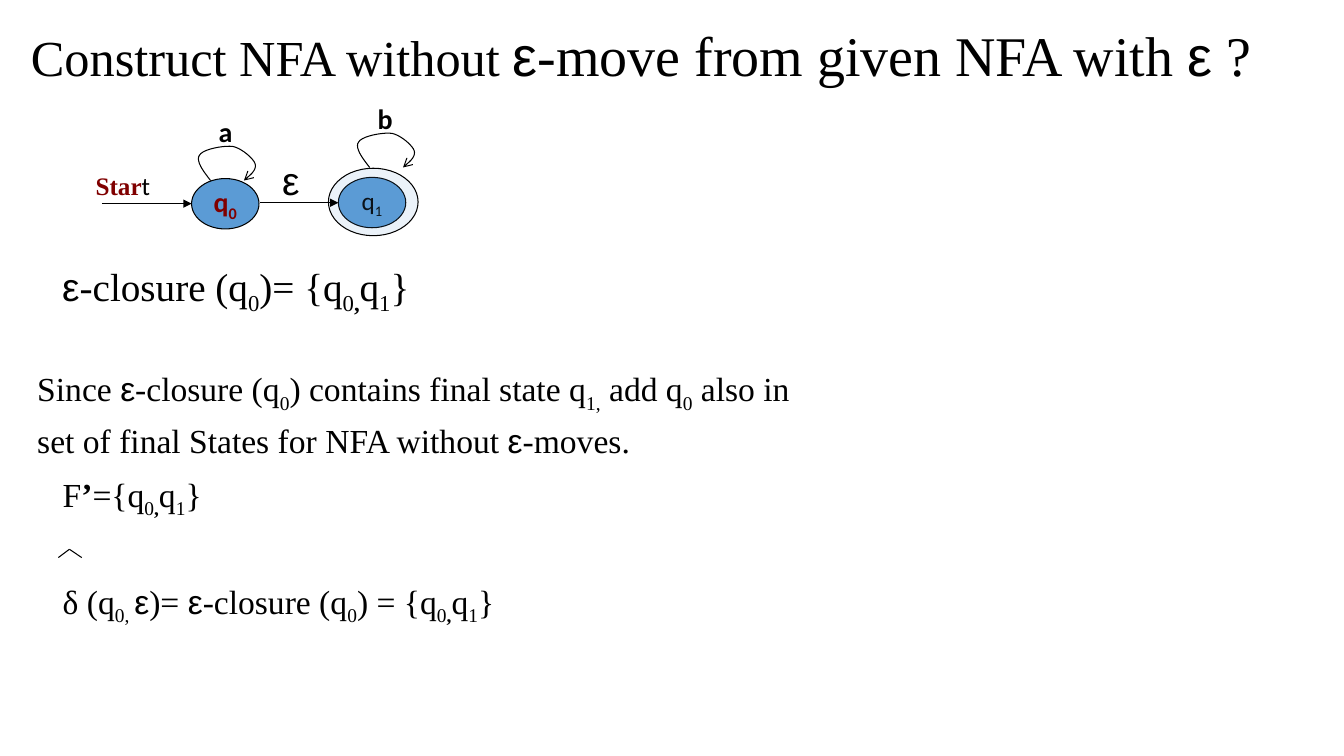
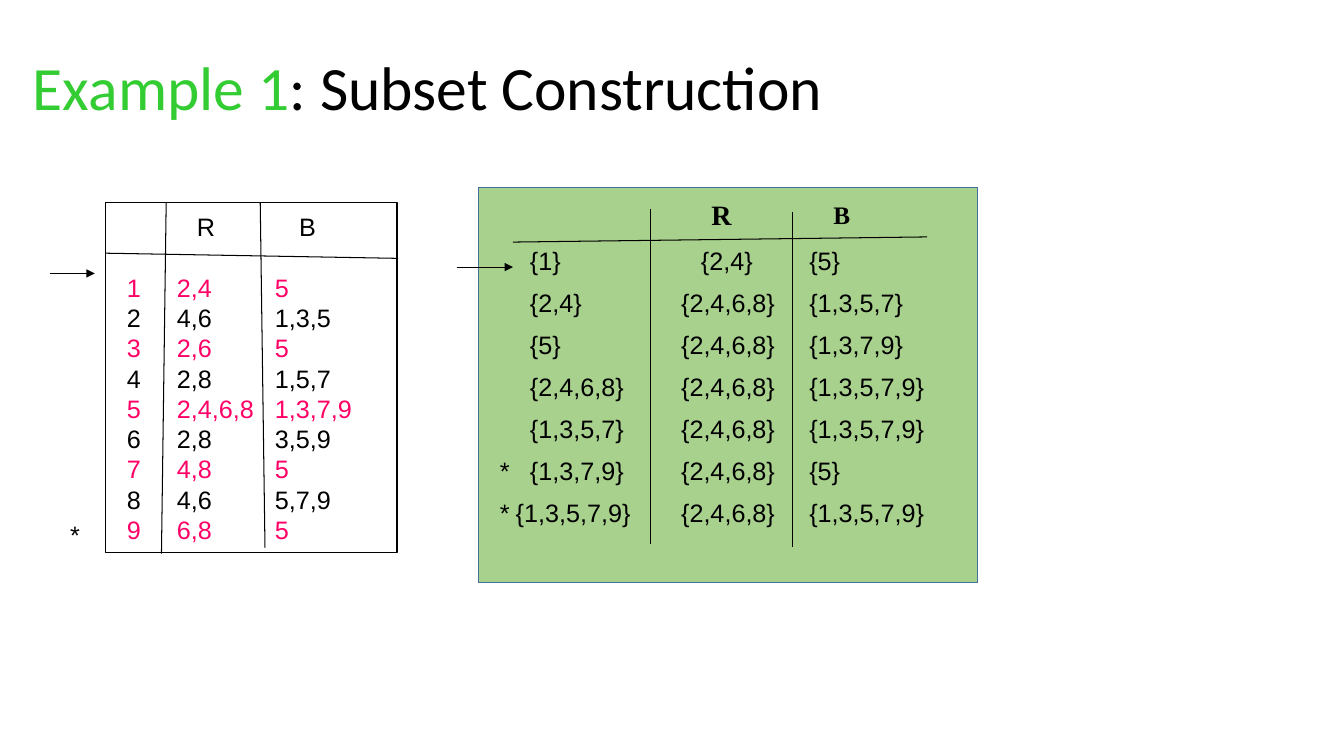
from dataclasses import dataclass, replace

from lxml.etree import SubElement
from pptx import Presentation
from pptx.dml.color import RGBColor
from pptx.enum.shapes import MSO_CONNECTOR as Link, MSO_SHAPE as Preset
from pptx.enum.text import MSO_ANCHOR as Anchor, PP_ALIGN as Align
from pptx.oxml.ns import qn
from pptx.util import Cm, Pt

BLACK = RGBColor(0x00, 0x00, 0x00)
MAROON = RGBColor(0x80, 0x00, 0x00)
BLUE = RGBColor(0x5B, 0x9B, 0xD5)
PANEL_GREEN = RGBColor(0xA9, 0xD1, 0x8E)
PANEL_EDGE = RGBColor(0x41, 0x71, 0x9C)
TITLE_GREEN = RGBColor(0x33, 0xCC, 0x33)
PINK = RGBColor(0xFF, 0x00, 0x66)
SERIF, SANS, BODY = "Times New Roman", "Arial", "Calibri"
NO_GRID_STYLE = "{2D5ABB26-0587-4C30-8999-92F81FD0307C}"


@dataclass(frozen=True)
class Span:
    """A piece of text with one look."""
    text: str
    size: int = 24
    font: str = SERIF
    color: RGBColor = BLACK
    bold: bool = False
    sub: bool = False


def sub(text, **look):
    """Return a subscript span."""
    return Span(text, sub=True, **look)


EPSILON = Span("ε", font=SANS)
ZERO, ONE = sub("0"), sub("1")
BOTH_STATES = [ZERO, Span(",", bold=True, sub=True), Span("q"), ONE, Span("}")]


def write(para, spans):
    """Fill a paragraph with formatted spans."""
    for span in spans:
        run = para.add_run()
        run.text = span.text
        run.font.size = Pt(span.size)
        run.font.name = span.font
        run.font.bold = span.bold
        run.font.color.rgb = span.color
        if span.sub:
            run._r.get_or_add_rPr().set("baseline", "-25000")


def add_text(page, left, top, width, height, spans, anchor=Anchor.TOP):
    """Place a one-paragraph text box and return its paragraph."""
    box = page.shapes.add_textbox(Cm(left), Cm(top), Cm(width), Cm(height))
    box.text_frame.word_wrap = True
    box.text_frame.vertical_anchor = anchor
    para = box.text_frame.paragraphs[0]
    write(para, spans)
    return para


def add_title(page, left, top, width, height, spans):
    """Place the slide title."""
    para = add_text(page, left, top, width, height, spans, Anchor.MIDDLE)
    para.line_spacing = 0.9


def add_preset(page, preset, left, top, width, height, fill=None, edge=BLACK, weight=0.75):
    """Place a preset shape without shadow."""
    shape = page.shapes.add_shape(preset, Cm(left), Cm(top), Cm(width), Cm(height))
    shape.shadow.inherit = False
    if fill is None:
        shape.fill.background()
    else:
        shape.fill.solid()
        shape.fill.fore_color.rgb = fill
    shape.line.color.rgb = edge
    shape.line.width = Pt(weight)
    return shape


def style_line(shape, head=None):
    """Give a line its colour, weight and optional arrowhead."""
    shape.line.color.rgb = BLACK
    shape.line.width = Pt(0.75)
    if head:
        SubElement(shape.line._get_or_add_ln(), qn("a:tailEnd")).set("type", head)


def add_lines(page, left, top, lines, head=None):
    """Draw straight lines given relative to a corner."""
    for x1, y1, x2, y2 in lines:
        line = page.shapes.add_connector(
            Link.STRAIGHT, Cm(left + x1), Cm(top + y1), Cm(left + x2), Cm(top + y2))
        style_line(line, head)
        SubElement(line._element.spPr, qn("a:effectLst"))


def add_state(page, left, top, spans):
    """Draw an automaton state with its label."""
    state = add_preset(page, Preset.OVAL, left, top, 1.7, 1.27, BLUE)
    frame = state.text_frame
    frame.word_wrap = False
    frame.vertical_anchor = Anchor.MIDDLE
    frame.paragraphs[0].alignment = Align.CENTER
    write(frame.paragraphs[0], spans)


def bezier(points, steps=10):
    """Return points along a cubic curve, without its start."""
    weights = (1, 3, 3, 1)
    return [
        tuple(sum(w * (1 - t) ** (3 - i) * t ** i * point[axis]
                  for i, (w, point) in enumerate(zip(weights, points)))
              for axis in (0, 1))
        for t in (step / steps for step in range(1, steps + 1))]


def add_loop(page, left, top, label):
    """Draw a labelled self-loop arrow."""
    knots = [(0.38, 0.89), (0.18, 0.64), (0, 0.38), (0.1, 0.25), (0.18, 0.1),
             (0.71, 0), (0.94, 0.03), (1.17, 0.08), (1.45, 0.33), (1.5, 0.46),
             (1.55, 0.61), (1.4, 0.74), (1.22, 0.89)]
    curve = [point for i in range(0, 12, 3) for point in bezier(knots[i:i + 4])]
    start, *rest = [(Cm(left + x), Cm(top + y)) for x, y in [knots[0]] + curve]
    builder = page.shapes.build_freeform(*start)
    builder.add_line_segments(rest, close=False)
    loop = builder.convert_to_shape()
    loop.shadow.inherit = False
    loop.fill.background()
    style_line(loop, "arrow")
    add_text(page, left + 0.33, top - 0.89, 1, 1.1, [Span(label, 20, BODY, bold=True)])


def add_automaton(page, left, top):
    """Draw the two-state automaton."""
    start = Span("q", 20, BODY, MAROON, True)
    final = Span("q", 18, BODY)
    add_state(page, left + 2.67, top + 2.01, [start, replace(start, text="0", sub=True)])
    add_state(page, left + 6.37, top + 1.98, [final, replace(final, text="1", sub=True)])
    ring = add_preset(page, Preset.OVAL, left + 6.12, top + 1.75, 2.26, 1.7, BLUE)
    tint = ring._element.spPr.find(qn("a:solidFill"))[0]
    SubElement(tint, qn("a:alpha")).set("val", "12000")
    add_lines(page, left, top, [(0.41, 2.64, 2.67, 2.64), (4.39, 2.62, 6.37, 2.62)], "triangle")
    add_text(page, left, top + 1.68, 2.2, 1.02,
             [Span("Star", 18, SERIF, MAROON, True), Span("t", 18, BODY)])
    add_text(page, left + 4.7, top + 1.32, 1.2, 1.45, [replace(EPSILON, size=28)])
    add_loop(page, left + 2.77, top + 1.17, "a")
    add_loop(page, left + 6.78, top + 0.84, "b")


def add_reasoning(page, left, top, width, height):
    """Write the argument about the final states."""
    lines = [
        ([Span("Since "), EPSILON, Span("-closure (q"), ZERO,
          Span(") contains final state q"), sub("1,"), Span(" add q"), ZERO,
          Span(" also in")], 0, 0),
        ([Span("set of final States for NFA without "), EPSILON, Span("-moves.")], 0, 10),
        ([Span("F"), Span("’", bold=True), Span("={q"), *BOTH_STATES], 0.64, 10),
        ([Span("δ (q"), sub("0, "), EPSILON, Span(")= "), EPSILON, Span("-closure (q"),
          ZERO, Span(") = {q"), *BOTH_STATES], 0.64, 47),
    ]
    box = page.shapes.add_textbox(Cm(left), Cm(top), Cm(width), Cm(height))
    frame = box.text_frame
    frame.word_wrap = True
    for index, (spans, indent, gap) in enumerate(lines):
        para = frame.add_paragraph() if index else frame.paragraphs[0]
        para._p.get_or_add_pPr().set("marL", str(Cm(indent)))
        para.line_spacing = 0.9
        para.space_before = Pt(gap)
        write(para, spans)
    add_lines(page, left, top, [(0.78, 4.88, 1.06, 4.67), (1.06, 4.67, 1.37, 4.88)])


def add_grid(page, left, top, widths, heights, rows, indents):
    """Place a plain table; indents maps (row, column) to a left margin."""
    frame = page.shapes.add_table(len(rows), len(widths), Cm(left), Cm(top),
                                  Cm(sum(widths)), Cm(sum(heights)))
    table = frame.table
    table.first_row = table.horz_banding = False
    table._tbl.tblPr.find(qn("a:tableStyleId")).text = NO_GRID_STYLE
    for column, width in zip(table.columns, widths):
        column.width = Cm(width)
    for r, (row, height) in enumerate(zip(rows, heights)):
        table.rows[r].height = Cm(height)
        for c, span in enumerate(row):
            cell = table.cell(r, c)
            cell.fill.background()
            cell.margin_left = Cm(indents.get((r, c), 0))
            cell.margin_right = cell.margin_top = cell.margin_bottom = 0
            cell.vertical_anchor = Anchor.MIDDLE
            if span.text:
                write(cell.text_frame.paragraphs[0], [span])
    return table


def add_nfa_table(page, left, top):
    """Draw the framed transition table of the NFA."""
    moves = [("2,4", "5"), ("4,6", "1,3,5"), ("2,6", "5"), ("2,8", "1,5,7"),
             ("2,4,6,8", "1,3,7,9"), ("2,8", "3,5,9"), ("4,8", "5"),
             ("4,6", "5,7,9"), ("6,8", "5")]
    rows = [[Span(text, 18, SANS) for text in ("", "R", "B")]]
    for number, move in enumerate(moves, 1):
        color = PINK if number % 2 else BLACK
        rows.append([Span(text, 18, SANS, color) for text in (str(number), *move)])
    table = add_grid(page, left + 0.53, top + 0.28, [1.26, 2.47, 3.08],
                     [1.5] + [0.76] * len(moves), rows, {(0, 1): 0.5, (0, 2): 0.61})
    for cell in table.rows[0].cells:
        cell.vertical_anchor = Anchor.TOP
    add_preset(page, Preset.RECTANGLE, left, top, 7.34, 8.81)
    add_lines(page, left, top, [(1.52, 0, 1.4, 8.84), (3.89, 0, 4.01, 8.69),
                                (0, 1.27, 7.37, 1.4)])
    add_lines(page, left, top, [(-1.42, 1.78, -0.28, 1.78)], "triangle")
    add_text(page, left - 1.15, top + 7.84, 0.8, 1.02, [Span("*", 18, SANS)])


def add_dfa_table(page, left, top):
    """Draw the green panel with the subset table."""
    sets = [("", "{1}", "{2,4}", "{5}"),
            ("", "{2,4}", "{2,4,6,8}", "{1,3,5,7}"),
            ("", "{5}", "{2,4,6,8}", "{1,3,7,9}"),
            ("", "{2,4,6,8}", "{2,4,6,8}", "{1,3,5,7,9}"),
            ("", "{1,3,5,7}", "{2,4,6,8}", "{1,3,5,7,9}"),
            ("*", "{1,3,7,9}", "{2,4,6,8}", "{5}"),
            ("*", "{1,3,5,7,9}", "{2,4,6,8}", "{1,3,5,7,9}")]
    rows = [[Span(""), Span(""), Span("R", 20, bold=True), Span("B", 18, bold=True)]]
    rows += [[Span(text, 18, SANS) for text in row] for row in sets]
    indents = {(row, 1): 0.36 for row in range(1, len(sets))}
    indents.update({(0, 2): 0.76, (0, 3): 0.61, (1, 2): 0.5})
    add_preset(page, Preset.FLOWCHART_PROCESS, left, top, 12.57, 9.96,
               PANEL_GREEN, PANEL_EDGE, 1)
    add_grid(page, left + 0.53, top + 0.11, [0.4, 4.17, 3.23, 3.3],
             [1.23] + [1.06] * len(sets), rows, indents)
    add_lines(page, left, top, [(0.86, 1.38, 11.3, 1.25), (4.34, 0.54, 4.34, 9),
                                (7.9, 0.61, 7.9, 9.07)])
    add_lines(page, left, top, [(-0.56, 2.01, 0.86, 2.01)], "triangle")


def build_closure_slide(page):
    """Lay out the slide on removing epsilon moves."""
    add_title(page, 0.53, 0.66, 32.56, 1.6, [
        Span("Construct NFA without ", 36), replace(EPSILON, size=40),
        Span("-move from given NFA with ", 40), replace(EPSILON, size=40), Span(" ?", 40)])
    add_automaton(page, 2.16, 2.49)
    closure = [EPSILON, Span("-closure (q"), ZERO, Span(")= {q"), *BOTH_STATES]
    add_text(page, 1.32, 6.48, 11.91, 1.6, [replace(span, size=28) for span in closure])
    add_reasoning(page, 0.69, 9.17, 20.2, 7)


def build_subset_slide(page):
    """Lay out the slide on subset construction."""
    add_title(page, 0.58, 1.04, 21.82, 2.49, [
        Span("Example 1", 44, BODY, TITLE_GREEN), Span(": Subset Construction", 44, BODY)])
    add_nfa_table(page, 2.67, 5.11)
    add_dfa_table(page, 12.07, 4.72)


def main():
    """Build and save the deck."""
    deck = Presentation()
    deck.slide_width, deck.slide_height = Cm(33.88), Cm(19.05)
    for build in (build_closure_slide, build_subset_slide):
        build(deck.slides.add_slide(deck.slide_layouts[6]))
    deck.save("out.pptx")


if __name__ == "__main__":
    main()
